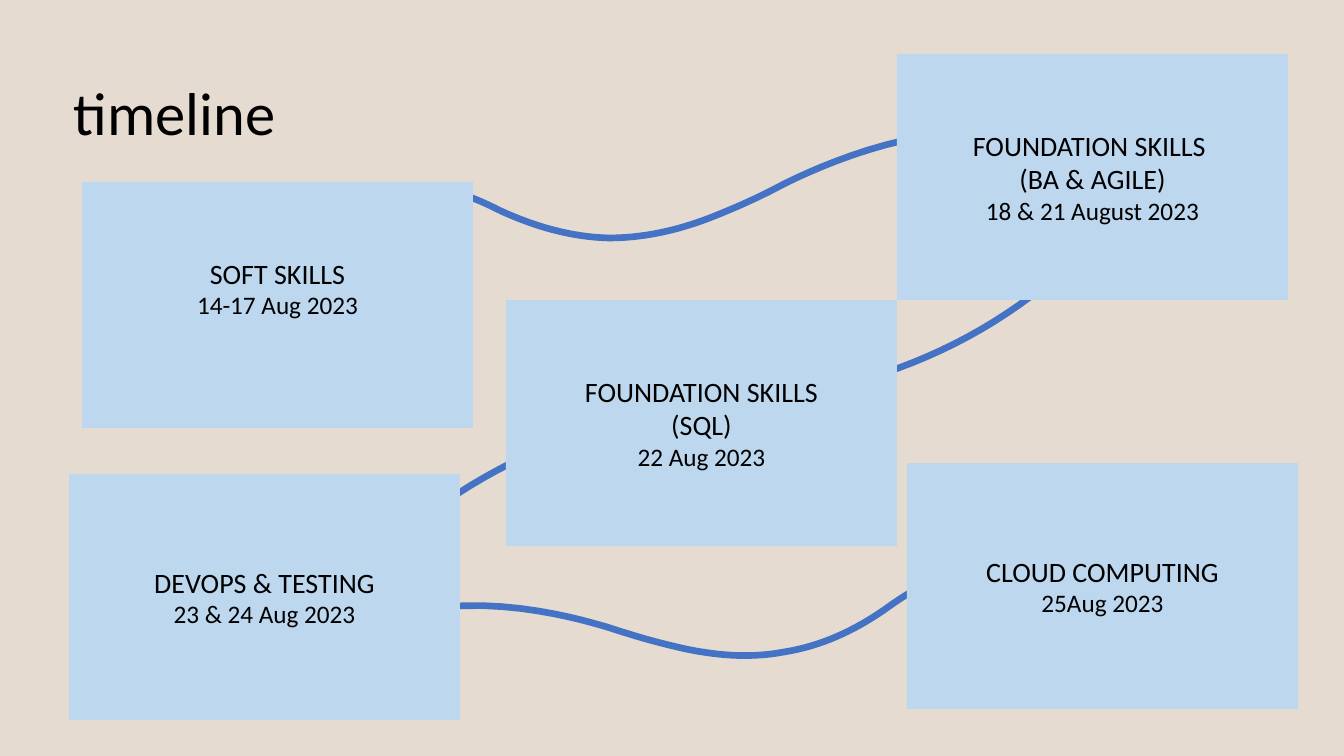
from dataclasses import dataclass

from pptx import Presentation
from pptx.dml.color import RGBColor
from pptx.enum.shapes import MSO_SHAPE
from pptx.enum.text import MSO_ANCHOR, PP_ALIGN
from pptx.util import Emu, Pt

RECTANGLE = MSO_SHAPE.RECTANGLE
MIDDLE = MSO_ANCHOR.MIDDLE
CENTER = PP_ALIGN.CENTER

# Content: lengths in px
SLIDE_SIZE = (1344, 756)
TITLE = "timeline"
TITLE_BOX = (64, 78, 1008, 75)
CARD_SIZE = (391, 246)
# left, top, extra space under the text, heading lines, date
CARDS = [
    (897, 54, 0, ["FOUNDATION SKILLS ", "(BA & AGILE)"], "18 & 21 August 2023"),
    (82, 182, 34, ["SOFT SKILLS"], "14-17 Aug 2023"),
    (506, 300, 0, ["FOUNDATION SKILLS", "(SQL)"], "22 Aug 2023"),
    (907, 463, 0, ["CLOUD COMPUTING"], "25Aug 2023"),
    (69, 474, 0, ["DEVOPS & TESTING"], "23 & 24 Aug 2023"),
]
# Bezier chains: a start point, then two handles and an end per piece
PATHS = [
    [(840, 386), (920, 366), (993, 330), (1055, 277)],
    [(589, 431), (513, 456), (449, 494), (392, 543)],
    [(309, 225), (353, 188), (401, 178), (453, 192),
     (470, 196), (485, 203), (501, 211),
     (534, 226), (570, 237), (609, 238),
     (642, 238), (675, 231), (707, 219),
     (743, 205), (763, 195), (784, 184),
     (808, 172), (948, 104), (1035, 147)],
    [(927, 584), (911, 591), (898, 600), (884, 610),
     (855, 630), (822, 646), (784, 652),
     (752, 658), (720, 656), (686, 649),
     (650, 641), (629, 634), (607, 627),
     (583, 620), (437, 575), (350, 641)],
]
CURVE_STEPS = 16


@dataclass(frozen=True)
class Theme:
    background: RGBColor = RGBColor(0xE6, 0xDB, 0xD0)
    card: RGBColor = RGBColor(0xBD, 0xD7, 0xEE)
    path_line: RGBColor = RGBColor(0x44, 0x72, 0xC4)
    text: RGBColor = RGBColor(0, 0, 0)
    font: str = "Calibri"
    title_size: float = 43.2
    heading_size: int = 20
    date_size: int = 18
    line_width: float = 4.75


THEME = Theme()


def px(length):
    return Emu(round(length * 914400 / 100.8))


def style_paragraph(paragraph, size):
    for run in paragraph.runs:
        run.font.name = THEME.font
        run.font.size = Pt(size)
        run.font.color.rgb = THEME.text


def bezier_points(chain):
    """Return points along every cubic piece of the chain."""
    points = [chain[0]]
    for first in range(0, len(chain) - 1, 3):
        piece = chain[first:first + 4]
        for step in range(1, CURVE_STEPS + 1):
            t = step / CURVE_STEPS
            u = 1 - t
            weights = (u ** 3, 3 * u * u * t, 3 * u * t * t, t ** 3)
            points.append(tuple(
                sum(weight * point[axis] for weight, point in zip(weights, piece))
                for axis in (0, 1)))
    return points


def add_path(slide, chain):
    points = [(px(x), px(y)) for x, y in bezier_points(chain)]
    builder = slide.shapes.build_freeform(*points[0])
    builder.add_line_segments(points[1:], close=False)
    shape = builder.convert_to_shape()
    shape.shadow.inherit = False
    shape.fill.background()
    shape.line.color.rgb = THEME.path_line
    shape.line.width = Pt(THEME.line_width)


def add_card(slide, left, top, space_below, headings, date):
    shape = slide.shapes.add_shape(
        RECTANGLE, *(px(length) for length in (left, top, *CARD_SIZE)))
    shape.shadow.inherit = False
    shape.fill.solid()
    shape.fill.fore_color.rgb = THEME.card
    shape.line.fill.background()
    frame = shape.text_frame
    frame.word_wrap = True
    frame.vertical_anchor = MIDDLE
    frame.margin_bottom = px(5 + space_below)
    frame.text = "\n".join([*headings, date])
    for paragraph in frame.paragraphs:
        paragraph.alignment = CENTER
        style_paragraph(paragraph, THEME.heading_size)
    style_paragraph(frame.paragraphs[-1], THEME.date_size)


def add_title(slide):
    box = slide.shapes.add_textbox(*(px(length) for length in TITLE_BOX))
    frame = box.text_frame
    frame.word_wrap = True
    frame.vertical_anchor = MIDDLE
    frame.text = TITLE
    frame.paragraphs[0].line_spacing = 0.9
    style_paragraph(frame.paragraphs[0], THEME.title_size)


def main():
    presentation = Presentation()
    presentation.slide_width, presentation.slide_height = map(px, SLIDE_SIZE)
    slide = presentation.slides.add_slide(presentation.slide_layouts[6])
    slide.background.fill.solid()
    slide.background.fill.fore_color.rgb = THEME.background

    # Winding paths lie behind the cards
    for chain in PATHS:
        add_path(slide, chain)
    for card in CARDS:
        add_card(slide, *card)
    add_title(slide)
    presentation.save("out.pptx")


if __name__ == "__main__":
    main()
